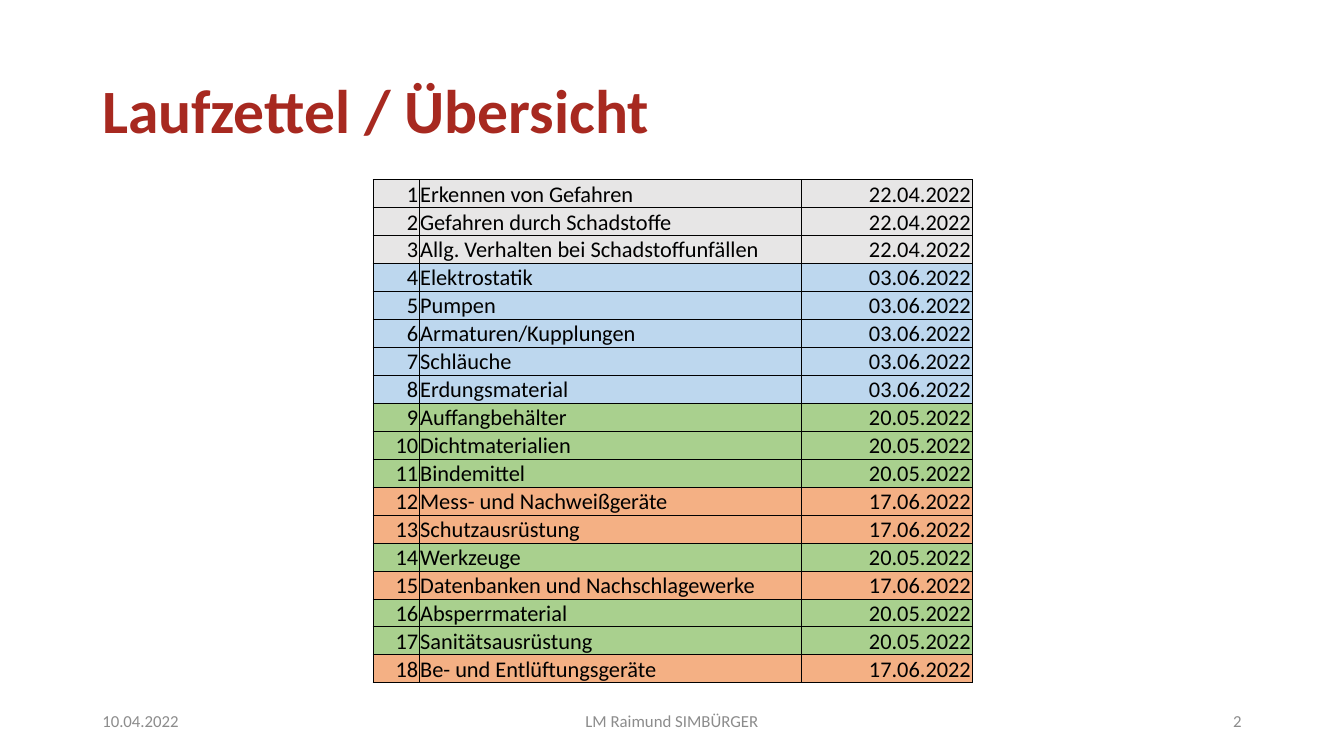
from lxml import etree
from pptx import Presentation
from pptx import util as u
from pptx.dml.color import RGBColor
from pptx.enum import text
from pptx.oxml import ns

RED = RGBColor(0xA7, 0x29, 0x20)
BLACK = RGBColor(0x00, 0x00, 0x00)
FOOTER_GREY = RGBColor(0x8C, 0x8C, 0x8C)
GREY = RGBColor(0xE7, 0xE6, 0xE6)
BLUE = RGBColor(0xBD, 0xD7, 0xEE)
GREEN = RGBColor(0xA9, 0xD0, 0x8E)
ORANGE = RGBColor(0xF4, 0xB0, 0x84)

LEFT, CENTER, RIGHT = text.PP_ALIGN.LEFT, text.PP_ALIGN.CENTER, text.PP_ALIGN.RIGHT

DATE_COLORS = {
    "22.04.2022": GREY,
    "03.06.2022": BLUE,
    "20.05.2022": GREEN,
    "17.06.2022": ORANGE,
}

# Consecutive stations that share a training date
SCHEDULE = [
    ("22.04.2022", ["Erkennen von Gefahren", "Gefahren durch Schadstoffe",
                    "Allg. Verhalten bei Schadstoffunfällen"]),
    ("03.06.2022", ["Elektrostatik", "Pumpen", "Armaturen/Kupplungen",
                    "Schläuche", "Erdungsmaterial"]),
    ("20.05.2022", ["Auffangbehälter", "Dichtmaterialien", "Bindemittel"]),
    ("17.06.2022", ["Mess- und Nachweißgeräte", "Schutzausrüstung"]),
    ("20.05.2022", ["Werkzeuge"]),
    ("17.06.2022", ["Datenbanken und Nachschlagewerke"]),
    ("20.05.2022", ["Absperrmaterial", "Sanitätsausrüstung"]),
    ("17.06.2022", ["Be- und Entlüftungsgeräte"]),
]


class SlideBuilder:
    """Holds the style and the current slide, laid out on a 160 by 90 grid."""

    COLUMNS, ROWS = 160, 90
    FONT = "Calibri"

    def __init__(self, deck):
        """Add a blank slide to the deck and measure its grid."""
        self.slide = deck.slides.add_slide(deck.slide_layouts[6])
        self.width, self.height = deck.slide_width, deck.slide_height

    def x(self, columns):
        """Turn grid columns into a length."""
        return u.Emu(round(columns * self.width / self.COLUMNS))

    def y(self, rows):
        """Turn grid rows into a length."""
        return u.Emu(round(rows * self.height / self.ROWS))

    def set_words(self, frame, words, size, color, align, bold=False):
        """Set one paragraph of text and format it."""
        frame.text = words
        paragraph = frame.paragraphs[0]
        paragraph.alignment = align
        font = paragraph.runs[0].font
        font.name, font.size, font.bold = self.FONT, u.Pt(size), bold
        font.color.rgb = color
        return paragraph

    def label(self, box, words, size, color, align=LEFT, bold=False):
        """Add a vertically centred text box; box is left, top, width, height."""
        left, top, width, height = box
        frame = self.slide.shapes.add_textbox(
            self.x(left), self.y(top), self.x(width), self.y(height)).text_frame
        frame.word_wrap = True
        frame.vertical_anchor = text.MSO_ANCHOR.MIDDLE
        return self.set_words(frame, words, size, color, align, bold)

    def border(self, cell):
        """Draw a thin black line on all four sides of a cell."""
        properties = cell._tc.get_or_add_tcPr()
        for position, side in enumerate(("lnL", "lnR", "lnT", "lnB")):
            line = etree.Element(ns.qn(f"a:{side}"), w=str(u.Pt(0.5)))
            fill = etree.SubElement(line, ns.qn("a:solidFill"))
            etree.SubElement(fill, ns.qn("a:srgbClr"), val=str(BLACK))
            properties.insert(position, line)

    def cell(self, cell, words, fill, align):
        """Fill, border and label one table cell."""
        cell.margin_left = cell.margin_right = cell.margin_top = u.Inches(0.01)
        cell.margin_bottom = 0
        cell.vertical_anchor = text.MSO_ANCHOR.BOTTOM
        cell.fill.solid()
        cell.fill.fore_color.rgb = fill
        self.border(cell)
        self.set_words(cell.text_frame, words, 16, BLACK, align)

    def table(self, left, top, height, widths, aligns, records):
        """Add a table whose row colour follows the date in the last column."""
        table = self.slide.shapes.add_table(
            len(records), len(widths), self.x(left), self.y(top),
            self.x(sum(widths)), self.y(height)).table
        table.first_row = table.horz_banding = False
        for column, width in zip(table.columns, widths):
            column.width = self.x(width)
        for row, record in zip(table.rows, records):
            for cell, words, align in zip(row.cells, record, aligns):
                self.cell(cell, words, DATE_COLORS[record[-1]], align)


def main():
    """Build the overview slide and save it."""
    deck = Presentation()
    deck.slide_width, deck.slide_height = u.Inches(13.333), u.Inches(7.5)
    overview = SlideBuilder(deck)

    title = overview.label((11, 4.8, 138, 17.4), "Laufzettel / Übersicht", 44, RED, bold=True)
    title.line_spacing = 0.9

    for left, width, words, align in [
        (11, 36, "10.04.2022", LEFT),
        (53, 54, "LM Raimund SIMBÜRGER", CENTER),
        (113, 36, "2", RIGHT),
    ]:
        overview.label((left, 83.4, width, 4.8), words, 12, FOOTER_GREY, align)

    stations = [(name, date) for date, names in SCHEDULE for name in names]
    records = [(str(number), *station) for number, station in enumerate(stations, 1)]
    overview.table(44.4, 21.4, 59.9, (5.5, 45.5, 20.3), (RIGHT, LEFT, RIGHT), records)

    deck.save("out.pptx")


main()
